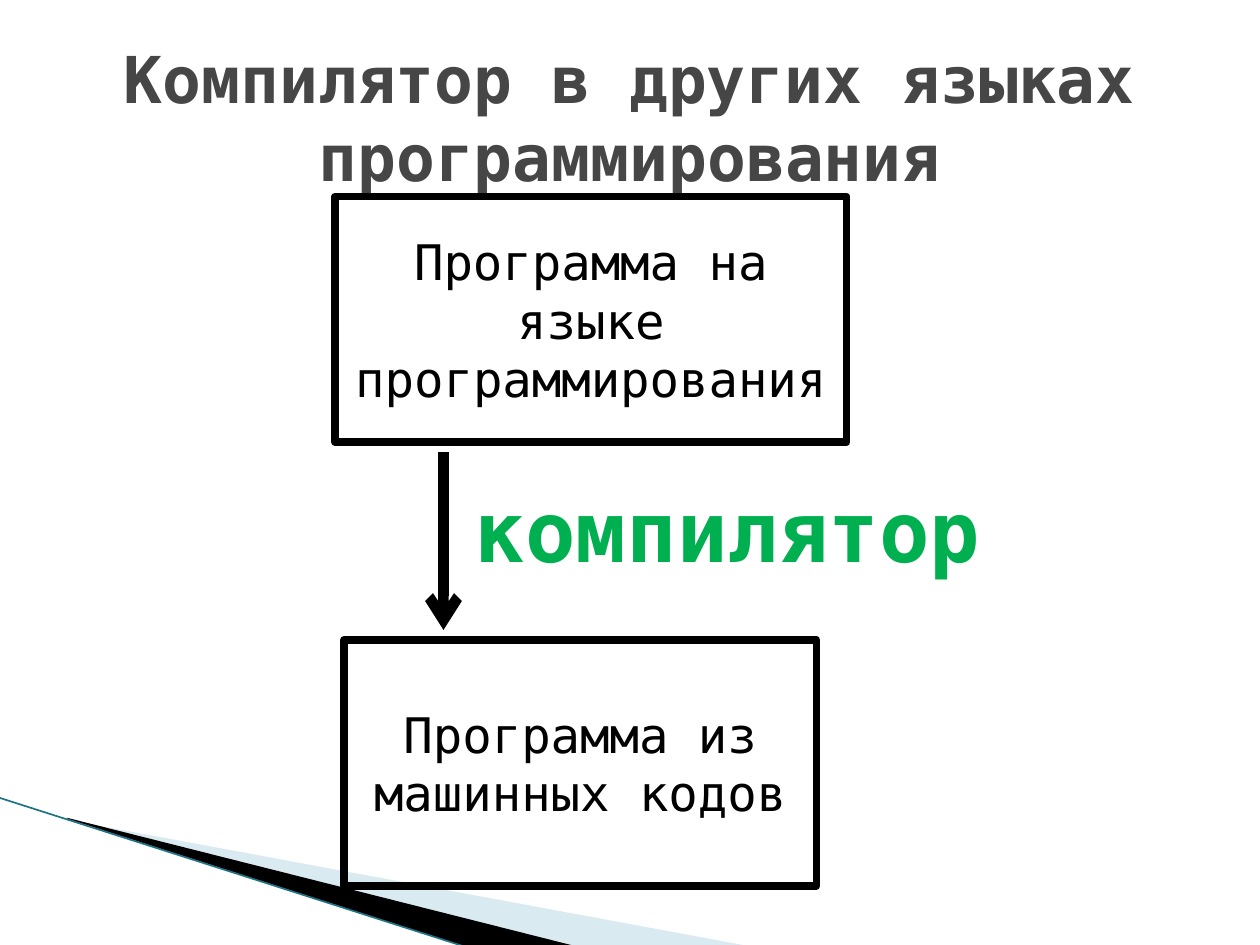
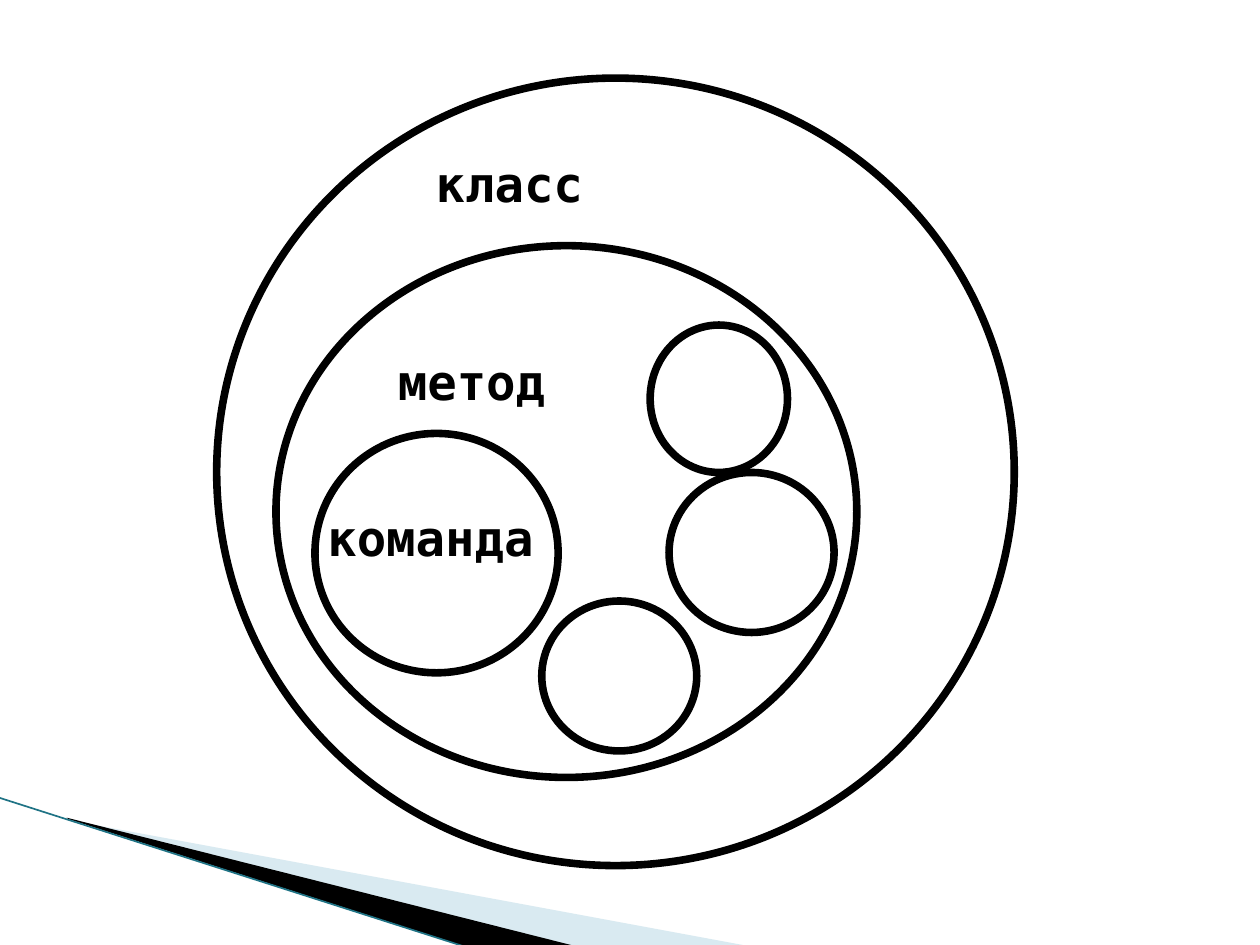
import dataclasses

import pptx
import pptx.dml.color
import pptx.enum.shapes
import pptx.enum.text
import pptx.oxml
import pptx.oxml.ns
import pptx.util

Inches = pptx.util.Inches
Shape = pptx.enum.shapes.MSO_SHAPE
Align = pptx.enum.text.PP_ALIGN
Anchor = pptx.enum.text.MSO_ANCHOR


@dataclasses.dataclass(frozen=True)
class Theme:
    font: str = "DejaVu Sans Mono"
    ink: str = "000000"
    title: str = "464646"
    accent: str = "00B050"
    pale_wedge: str = "A0CBDC"
    wedge_edge: str = "1F7385"
    pale_opacity: int = 40
    title_size: float = 36.9
    body_size: float = 28
    accent_size: float = 48
    outline: float = 4.33
    arrow: float = 6
    edge: float = 0.95


THEME = Theme()
LAYOUT_TITLE_ONLY, LAYOUT_BLANK = 5, 6


def rgb(color):
    return pptx.dml.color.RGBColor.from_string(color)


def add_drawing_xml(parent, markup):
    """Append one DrawingML element to a parent element."""
    namespace = pptx.oxml.ns.nsdecls("a")
    parent.append(pptx.oxml.parse_xml(markup.replace("/>", f" {namespace}/>")))


def write_text(shape, text, size, color=THEME.ink, bold=False, align=Align.LEFT, anchor=Anchor.TOP):
    frame = shape.text_frame
    frame.text = text
    frame.word_wrap = True
    frame.auto_size = pptx.enum.text.MSO_AUTO_SIZE.NONE
    frame.vertical_anchor = anchor
    paragraph = frame.paragraphs[0]
    paragraph.alignment = align
    font = paragraph.runs[0].font
    font.name, font.size, font.bold = THEME.font, pptx.util.Pt(size), bold
    font.color.rgb = rgb(color)


def add_outline(slide, kind, box):
    shape = slide.shapes.add_shape(kind, *map(Inches, box))
    shape.shadow.inherit = False
    shape.fill.background()
    shape.line.color.rgb = rgb(THEME.ink)
    shape.line.width = pptx.util.Pt(THEME.outline)
    return shape


def add_label(slide, text, box, size=THEME.body_size, color=THEME.ink):
    label = slide.shapes.add_textbox(*map(Inches, box))
    write_text(label, text, size, color, bold=True)


def add_line(slide, start, end, color, width):
    line = slide.shapes.add_connector(
        pptx.enum.shapes.MSO_CONNECTOR.STRAIGHT, *map(Inches, start + end))
    line.line.color.rgb = rgb(color)
    line.line.width = pptx.util.Pt(width)
    add_drawing_xml(line._element.spPr, "<a:effectLst/>")
    return line


def add_wedge(slide, points, color):
    builder = slide.shapes.build_freeform(*map(Inches, points[0]), scale=1.0)
    builder.add_line_segments([tuple(map(Inches, point)) for point in points[1:]])
    wedge = builder.convert_to_shape()
    wedge.shadow.inherit = False
    wedge.fill.solid()
    wedge.fill.fore_color.rgb = rgb(color)
    wedge.line.fill.background()
    return wedge


def add_corner_wedges(slide):
    """Pale and black wedges with a thin edge in the lower left corner."""
    pale = add_wedge(slide, [(0.55, 6.51), (5.95, 7.51), (4.56, 7.51), (0.55, 6.5)],
                     THEME.pale_wedge)
    color = pale._element.spPr.find(".//" + pptx.oxml.ns.qn("a:srgbClr"))
    add_drawing_xml(color, f'<a:alpha val="{THEME.pale_opacity * 1000}"/>')
    add_wedge(slide, [(0.53, 6.49), (4.57, 7.51), (3.72, 7.52), (0.54, 6.5)], THEME.ink)
    add_line(slide, (-0.01, 6.33), (3.71, 7.52), THEME.wedge_edge, THEME.edge)


def add_slide(presentation, layout):
    slide = presentation.slides.add_slide(presentation.slide_layouts[layout])
    add_corner_wedges(slide)
    return slide


def place_title(slide, text, box):
    title = slide.shapes.title
    title.left, title.top, title.width, title.height = map(Inches, box)
    write_text(title, text, THEME.title_size, THEME.title, True, Align.CENTER, Anchor.MIDDLE)


def draw_compiler_flow(slide, box):
    """Source program, arrow with its label, machine code program."""
    left, top, width, height = box
    step_height = 1.95
    bottom = top + height
    steps = [
        ("Программа на языке программирования", (left, top, width, step_height)),
        ("Программа из машинных кодов",
         (left + 0.07, bottom - step_height, width - 0.31, step_height)),
    ]
    for text, step_box in steps:
        step = add_outline(slide, Shape.RECTANGLE, step_box)
        write_text(step, text, THEME.body_size, align=Align.CENTER, anchor=Anchor.MIDDLE)

    # Arrow spans the gap between the two steps
    gap, arrow_x = 0.08, left + 0.86
    arrow = add_line(slide, (arrow_x, top + step_height + gap),
                     (arrow_x, bottom - step_height - gap), THEME.ink, THEME.arrow)
    add_drawing_xml(arrow.line._get_or_add_ln(), '<a:tailEnd type="arrow"/>')
    add_label(slide, "компилятор", (arrow_x + 0.15, top + 2.19, 4.61, 0.91),
              THEME.accent_size, THEME.accent)


def draw_nested_circles(slide, box):
    """A class holds a method, and the method holds commands."""
    left, top, width, height = box
    inner_ovals = [
        (0.47, 1.33, 4.61, 4.22),  # method
        (0.78, 2.82, 1.93, 1.9),   # named command
        (3.59, 3.13, 1.31, 1.27),  # further commands
        (3.44, 1.96, 1.09, 1.17),
        (2.58, 4.15, 1.23, 1.19),
    ]
    for x, y, oval_width, oval_height in [(0, 0, width, height)] + inner_ovals:
        add_outline(slide, Shape.OVAL, (left + x, top + y, oval_width, oval_height))

    labels = [("класс", 1.64, 0.55), ("метод", 1.34, 2.12), ("команда", 0.78, 3.36)]
    for text, x, y in labels:
        add_label(slide, text, (left + x, top + y, 2.03, 0.57))


def main():
    presentation = pptx.Presentation()
    presentation.slide_width, presentation.slide_height = Inches(10), Inches(7.5)

    compiler_slide = add_slide(presentation, LAYOUT_TITLE_ONLY)
    place_title(compiler_slide, "Компилятор в других языках программирования",
                (0.5, 0.3, 9, 1.25))
    draw_compiler_flow(compiler_slide, (2.66, 1.56, 4.06, 5.47))

    structure_slide = add_slide(presentation, LAYOUT_BLANK)
    draw_nested_circles(structure_slide, (1.72, 0.62, 6.33, 6.25))

    presentation.save("out.pptx")


if __name__ == "__main__":
    main()
